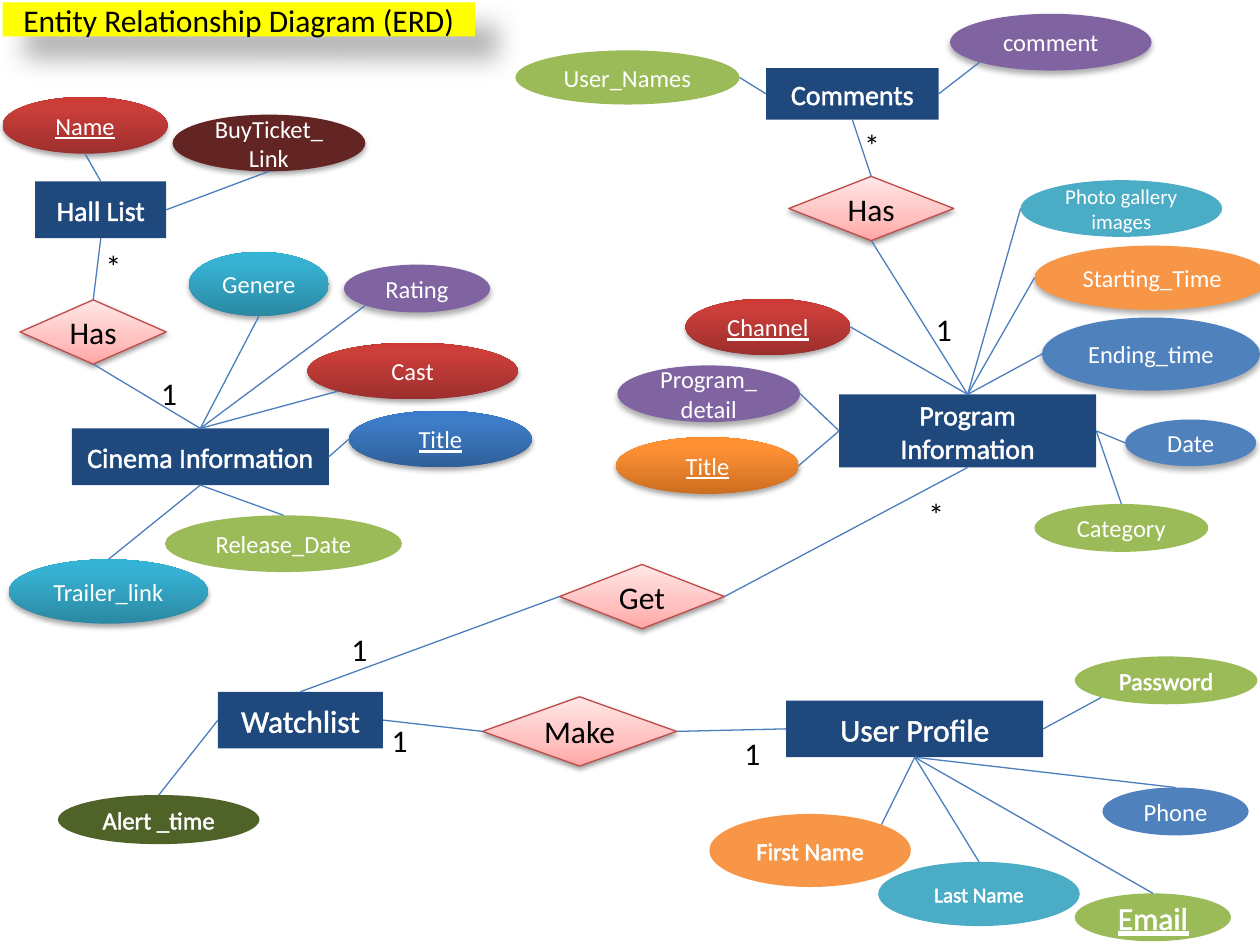
from dataclasses import dataclass
from math import sqrt
from typing import Optional, Union

from lxml import etree
from pptx import Presentation
from pptx import util as u
from pptx.dml.color import RGBColor
from pptx.enum import shapes, text
from pptx.oxml.ns import qn

# The slide is a grid of 1000 columns by 750 rows
COLS, ROWS = 1000, 750
WIDTH, HEIGHT = u.Inches(10), u.Inches(7.5)

FONT = "Calibri"
WHITE, BLACK, YELLOW, NAVY = "FFFFFF", "000000", "FFFF00", "1F497D"
GREEN, PURPLE, ORANGE, BLUE, AQUA = "9BBB59", "8064A2", "F79646", "4F81BD", "4BACC6"
MAROON, OLIVE, LINK, ROSE = "632523", "4F6228", "4B7EBC", "BF4C48"

# Gradient stops: percent, colour, from bottom to top
RED_FADE = ((0, "9C2F2D"), (80, "CB3E3A"), (100, "CE3B37"))
BLUE_FADE = ((0, "2F5F99"), (80, "3D7CC7"), (100, "3A7CCB"))
TEAL_FADE = ((0, "2A88A2"), (80, "37B1D2"), (100, "34B4D6"))
ORANGE_FADE = ((0, "CC6E20"), (80, "FF9034"), (100, "FF9136"))
PINK_FADE = ((0, "FFA6A5"), (35, "FFC0BF"), (100, "FFE7E7"))

RECT = shapes.MSO_SHAPE.RECTANGLE
OVAL = shapes.MSO_SHAPE.OVAL
DIAMOND = shapes.MSO_SHAPE.FLOWCHART_DECISION


@dataclass(frozen=True)
class Shadow:
    alpha: int
    blur: float
    dist: float
    angle: int = 90


FADE_SHADOW = Shadow(35, 3.1, 1.8)
FLAT_SHADOW = Shadow(32, 3.5, 2.2)
PINK_SHADOW = Shadow(38, 3.1, 1.6)
TITLE_SHADOW = Shadow(30, 15, 18, 45)


@dataclass(frozen=True)
class Node:
    label: str
    x: int
    y: int
    w: int
    h: int
    fill: Union[str, tuple]
    shadow: Optional[Shadow] = None
    size: int = 14
    kind: int = OVAL
    color: str = WHITE
    line: Optional[str] = None
    key: bool = False      # underlined
    heavy: bool = False    # outlined letters

    def site(self, side: str) -> tuple:
        """Point on the edge at a compass side, such as n or sw."""
        dx = ("e" in side) - ("w" in side)
        dy = ("s" in side) - ("n" in side)
        reach = 1 / sqrt(2) if dx and dy else 1
        return (self.x + self.w / 2 * (1 + dx * reach),
                self.y + self.h / 2 * (1 + dy * reach))


def entity(label: str, x: int, y: int, w: int, h: int = 45, size: int = 16) -> Node:
    return Node(label, x, y, w, h, NAVY, size=size, kind=RECT, heavy=True)


def relation(label: str, x: int, y: int, w: int = 131, h: int = 51) -> Node:
    return Node(label, x, y, w, h, PINK_FADE, PINK_SHADOW, 18, DIAMOND, BLACK, ROSE)


TITLE = Node("Entity Relationship Diagram (ERD)", 2, 2, 375, 27, YELLOW,
             TITLE_SHADOW, 18, RECT, BLACK)

NODES = {
    # Cinema
    "cinema": entity("Cinema Information", 57, 340, 204),
    "film": Node("Title", 277, 326, 145, 45, BLUE_FADE, FADE_SHADOW, key=True),
    "cast": Node("Cast", 244, 272, 167, 45, RED_FADE, FADE_SHADOW),
    "genre": Node("Genere", 150, 200, 111, 51, TEAL_FADE, FADE_SHADOW),
    "rating": Node("Rating", 273, 210, 116, 38, PURPLE, FLAT_SHADOW),
    "release": Node("Release_Date", 131, 409, 188, 45, GREEN),
    "trailer": Node("Trailer_link", 7, 444, 158, 51, TEAL_FADE, FADE_SHADOW),
    # Halls
    "hall": entity("Hall List", 28, 144, 104),
    "hall_has": relation("Has", 16, 238, 116),
    "name": Node("Name", 2, 77, 131, 45, RED_FADE, FADE_SHADOW, key=True),
    "buy": Node("BuyTicket_Link", 137, 91, 153, 45, MAROON, FADE_SHADOW),
    # Program
    "program": entity("Program Information", 666, 313, 204, 58),
    "show": Node("Title", 489, 347, 145, 45, ORANGE_FADE, FADE_SHADOW, key=True),
    "start": Node("Starting_Time", 821, 195, 187, 51, ORANGE, FLAT_SHADOW),
    "detail": Node("Program_detail", 490, 290, 145, 45, PURPLE, FLAT_SHADOW),
    "end": Node("Ending_time", 827, 252, 173, 58, BLUE, FLAT_SHADOW),
    "channel": Node("Channel", 544, 237, 131, 45, RED_FADE, FADE_SHADOW, key=True),
    "photos": Node("Photo gallery images", 810, 143, 160, 45, AQUA, size=12),
    "category": Node("Category", 821, 400, 138, 38, GREEN),
    "date": Node("Date", 893, 333, 104, 37, BLUE, FLAT_SHADOW),
    # Comments
    "comments": entity("Comments", 608, 54, 137, 41),
    "comment_has": relation("Has", 626, 140),
    "users": Node("User_Names", 409, 40, 178, 43, GREEN),
    "comment": Node("comment", 754, 11, 160, 45, PURPLE, FLAT_SHADOW),
    # User profile
    "user": entity("User Profile", 624, 556, 204, size=18),
    "last": Node("Last Name", 697, 684, 160, 51, AQUA, size=12, heavy=True),
    "email": Node("Email", 853, 709, 124, 38, GREEN, size=18, key=True, heavy=True),
    "first": Node("First Name", 563, 646, 160, 58, ORANGE, heavy=True),
    "phone": Node("Phone", 875, 625, 116, 38, BLUE),
    "password": Node("Password", 853, 521, 145, 38, GREEN, heavy=True),
    # Watchlist
    "watch": entity("Watchlist", 173, 549, 131, size=18),
    "make": relation("Make", 383, 553, 154, 55),
    "alert": Node("Alert _time", 46, 631, 160, 39, OLIVE, heavy=True),
    "get": relation("Get", 444, 448),
}

# Each link joins two node sides
LINKS = """
hall_has.s cinema.n, genre.s cinema.n, cast.sw cinema.n, film.w cinema.e,
rating.sw cinema.n, cinema.s release.n, cinema.s trailer.n,
hall.s hall_has.n, name.s hall.n, buy.s hall.e,
show.e program.w, detail.e program.w, start.w program.n, end.w program.n,
channel.e program.n, photos.w program.n, category.n program.e, date.w program.e,
comment_has.s program.n, comments.s comment_has.n, comments.w users.e,
comments.e comment.sw, user.s first.ne, user.s last.n, user.s email.n,
user.s phone.n, user.e password.sw, make.e user.w, watch.e make.w,
alert.n watch.w, watch.n get.w, program.s get.e
"""

# Cardinality marks: sign, column, row
MARKS = [("1", 733, 241), ("*", 676, 95), ("1", 118, 292), ("*", 74, 191),
         ("1", 581, 578), ("1", 301, 567), ("1", 269, 495), ("*", 727, 388)]


def rgb(value: str) -> RGBColor:
    return RGBColor.from_string(value)


def col(n: float) -> int:
    return round(n * WIDTH / COLS)


def row(n: float) -> int:
    return round(n * HEIGHT / ROWS)


def add_color(parent, value: str, alpha: int = 100) -> None:
    color = etree.SubElement(parent, qn("a:srgbClr"), val=value)
    if alpha < 100:
        etree.SubElement(color, qn("a:alpha"), val=str(alpha * 1000))


def paint(sp, fill: Union[str, tuple]) -> None:
    if isinstance(fill, str):
        sp.fill.solid()
        sp.fill.fore_color.rgb = rgb(fill)
        return
    sp.fill.gradient()
    sp.fill.gradient_angle = 90
    stops = sp._element.spPr.find(".//" + qn("a:gsLst"))
    for old in list(stops):
        stops.remove(old)
    for percent, value in fill:
        add_color(etree.SubElement(stops, qn("a:gs"), pos=str(percent * 1000)), value)


def cast_shadow(sp, shadow: Shadow) -> None:
    effects = sp._element.spPr.find(qn("a:effectLst"))
    outer = etree.SubElement(
        effects, qn("a:outerShdw"), blurRad=str(u.Pt(shadow.blur)),
        dist=str(u.Pt(shadow.dist)), dir=str(shadow.angle * 60000), rotWithShape="0")
    add_color(outer, BLACK, shadow.alpha)


def write(tf, label: str, size: int, color: str):
    tf.word_wrap = True
    p = tf.paragraphs[0]
    p.text = label
    p.font.name, p.font.size = FONT, u.Pt(size)
    p.font.color.rgb = rgb(color)
    return p


def draw_node(s, node: Node) -> None:
    sp = s.shapes.add_shape(node.kind, col(node.x), row(node.y), col(node.w), row(node.h))
    paint(sp, node.fill)
    if node.line:
        sp.line.color.rgb, sp.line.width = rgb(node.line), u.Pt(0.75)
    else:
        sp.line.fill.background()
    sp.shadow.inherit = False
    if node.shadow:
        cast_shadow(sp, node.shadow)
    sp.text_frame.vertical_anchor = text.MSO_ANCHOR.MIDDLE
    p = write(sp.text_frame, node.label, node.size, node.color)
    p.alignment = text.PP_ALIGN.CENTER
    if node.key:
        p.font.underline = True
    if node.heavy:
        ln = etree.Element(qn("a:ln"), w=str(u.Pt(1.45)))
        add_color(etree.SubElement(ln, qn("a:solidFill")), WHITE)
        p._p.pPr.find(qn("a:defRPr")).insert(0, ln)


def draw_link(s, link: str) -> None:
    (x1, y1), (x2, y2) = (NODES[name].site(side) for name, side in
                          (end.split(".") for end in link.split()))
    line = s.shapes.add_connector(shapes.MSO_CONNECTOR.STRAIGHT,
                                  col(x1), row(y1), col(x2), row(y2))
    line.line.color.rgb, line.line.width = rgb(LINK), u.Pt(0.75)
    etree.SubElement(line._element.spPr, qn("a:effectLst"))


def draw_mark(s, sign: str, x: int, y: int) -> None:
    box = s.shapes.add_textbox(col(x), row(y), col(55), row(40))
    write(box.text_frame, sign, 18, BLACK)


def main() -> None:
    prs = Presentation()
    prs.slide_width, prs.slide_height = WIDTH, HEIGHT
    s = prs.slides.add_slide(prs.slide_layouts[6])
    for node in (TITLE, *NODES.values()):
        draw_node(s, node)
    for link in LINKS.split(","):
        draw_link(s, link)
    for mark in MARKS:
        draw_mark(s, *mark)
    prs.save("out.pptx")


if __name__ == "__main__":
    main()
